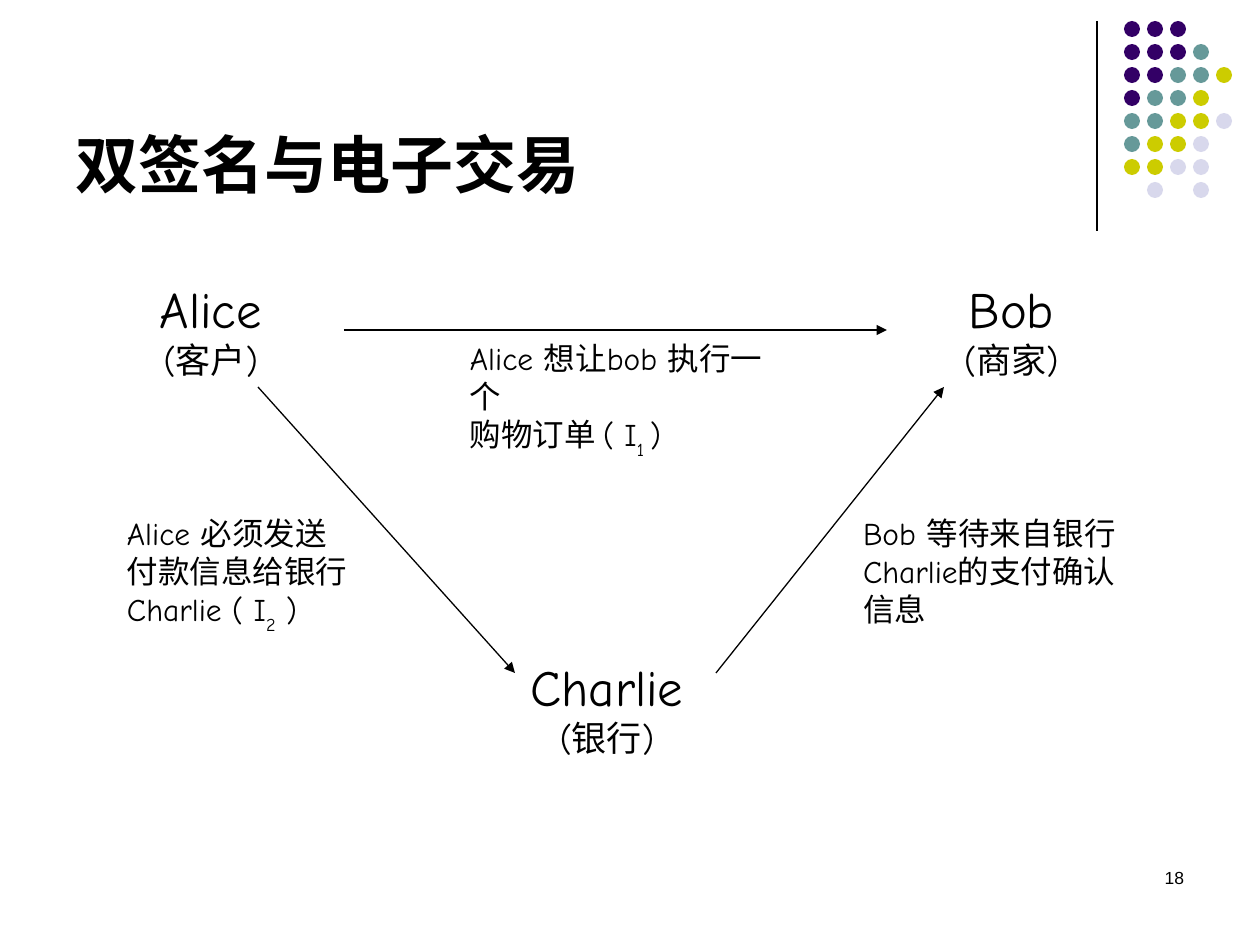
import pptx
import pptx.dml.color
import pptx.enum.shapes
import pptx.enum.text
import pptx.oxml.ns
import pptx.util
import lxml.etree

PX = 914400 / 126
ALIGN = pptx.enum.text.PP_ALIGN
ANCHOR = pptx.enum.text.MSO_ANCHOR


def color(hex_string):
    return pptx.dml.color.RGBColor.from_string(hex_string)


def px(*lengths):
    return [pptx.util.Emu(round(length * PX)) for length in lengths]


presentation = pptx.Presentation()
presentation.slide_width, presentation.slide_height = px(1260, 945)
slide = presentation.slides.add_slide(presentation.slide_layouts[6])
shapes = slide.shapes

dot_colors = {"P": "330066", "T": "669999", "Y": "CCCC00", "L": "D8D8EC"}
dot_rows = ["PPP", "PPPT", "PPTTY", "PTTY", "TTYYL", "TYYL", "YYLL", " L L"]
for row, letters in enumerate(dot_rows):
    for column, letter in enumerate(letters):
        if letter in dot_colors:
            dot = shapes.add_shape(
                pptx.enum.shapes.MSO_SHAPE.OVAL,
                *px(1124 + 23 * column, 21 + 23 * row, 16, 16))
            dot.shadow.inherit = False
            dot.fill.solid()
            dot.fill.fore_color.rgb = color(dot_colors[letter])
            dot.line.fill.background()

lines = [
    (1097, 21, 1097, 231, False),
    (344, 330, 887, 330, True),
    (258, 387, 515, 673, True),
    (716, 673, 944, 387, True),
]
for x1, y1, x2, y2, has_arrow in lines:
    connector = shapes.add_connector(
        pptx.enum.shapes.MSO_CONNECTOR.STRAIGHT, *px(x1, y1, x2, y2))
    connector.line.color.rgb = color("000000")
    connector.line.width = pptx.util.Pt(0.75)
    if has_arrow:
        lxml.etree.SubElement(connector.line._get_or_add_ln(),
                              pptx.oxml.ns.qn("a:tailEnd"), type="triangle")
    lxml.etree.SubElement(connector._element.spPr, pptx.oxml.ns.qn("a:effectLst"))

page_number = [(["18"], 10)]
title = [(["双签名与电子交易"], 36)]
customer = [(["Alice"], 29), (["(客户)"], 20)]
merchant = [(["Bob"], 29), (["(商家)"], 20)]
bank = [(["Charlie"], 29), (["(银行)"], 20)]
order = [(["Alice 想让bob 执行一个"], 18), (["购物订单 ( I", "1 ", ")"], 18)]
confirmation = [(["Bob 等待来自银行"], 18), (["Charlie的支付确认"], 18), (["信息"], 18)]
payment = [(["Alice 必须发送"], 18), (["付款信息给银行"], 18),
           (["Charlie ( I", "2", " )"], 18)]

texts = [
    (903, 861, 294, 63, page_number, "Arial", ALIGN.RIGHT),
    (63, 84, 1134, 158, title, "Arial", ALIGN.LEFT),
    (116, 273, 190, 107, customer, "Comic Neue", ALIGN.CENTER),
    (916, 273, 191, 107, merchant, "Comic Neue", ALIGN.CENTER),
    (515, 651, 184, 107, bank, "Comic Neue", ALIGN.CENTER),
    (459, 334, 339, 82, order, "Comic Neue", ALIGN.LEFT),
    (852, 509, 295, 107, confirmation, "Comic Neue", ALIGN.LEFT),
    (116, 509, 288, 115, payment, "Comic Neue", ALIGN.LEFT),
]
for left, top, width, height, paragraphs, font_name, alignment in texts:
    frame = shapes.add_textbox(*px(left, top, width, height)).text_frame
    is_heading = paragraphs is title
    in_diagram = font_name == "Comic Neue"
    frame.word_wrap = not in_diagram
    frame.vertical_anchor = ANCHOR.MIDDLE if is_heading else ANCHOR.TOP
    side, edge = px(11, 5) if in_diagram else px(13, 6)
    frame.margin_left = frame.margin_right = side
    frame.margin_top = frame.margin_bottom = edge
    for index, (runs, size) in enumerate(paragraphs):
        paragraph = frame.add_paragraph() if index else frame.paragraphs[0]
        paragraph.alignment = alignment
        paragraph.font.name = font_name
        paragraph.font.size = pptx.util.Pt(size)
        paragraph.font.bold = is_heading
        paragraph.font.color.rgb = color("000000")
        for position, text in enumerate(runs):
            run = paragraph.add_run()
            run.text = text
            if position == 1:
                run.font._element.set("baseline", "-33000")

presentation.save("out.pptx")
